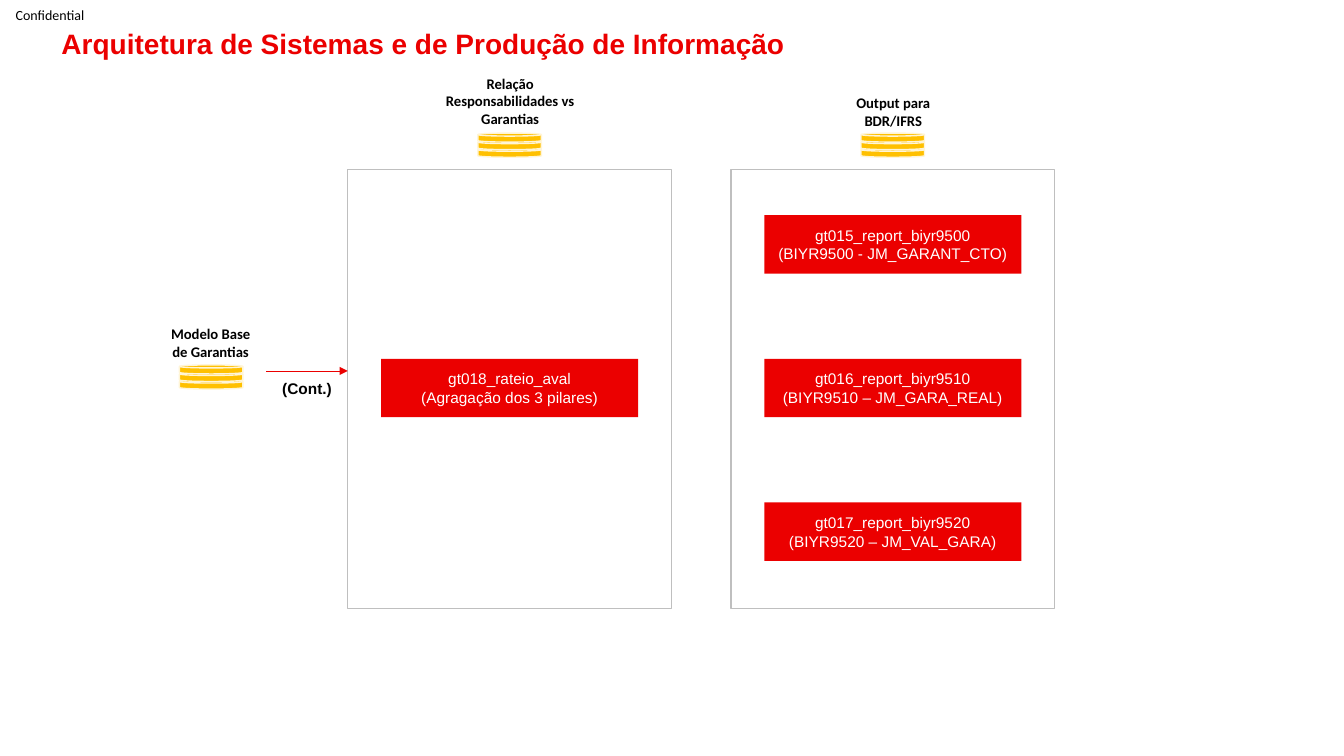
from pptx import Presentation
from pptx.dml.color import RGBColor
from pptx.enum.shapes import MSO_CONNECTOR, MSO_SHAPE
from pptx.enum.text import MSO_ANCHOR, MSO_AUTO_SIZE, PP_ALIGN
from pptx.oxml.ns import qn
from pptx.util import Inches, Pt
from lxml.etree import SubElement

# Content
TITLE = "Arquitetura de Sistemas e de Produção de Informação"
MARKING = "Confidential"
CONTINUED = "(Cont.)"
# Frame left edge, then the vertical slot (-1, 0, 1) and lines of each box
PANELS = [
    (3.45, [(0, ["gt018_rateio_aval", "(Agragação dos 3 pilares)"])]),
    (7.25, [
        (-1, ["gt015_report_biyr9500", "(BIYR9500 - JM_GARANT_CTO)"]),
        (0, ["gt016_report_biyr9510", "(BIYR9510 – JM_GARA_REAL)"]),
        (1, ["gt017_report_biyr9520", "(BIYR9520 – JM_VAL_GARA)"]),
    ]),
]
# Label, its left, top, width, height, then left and top of the disks
DATABASES = [
    ("Relação Responsabilidades vs Garantias", (4.42, 0.72, 1.28, 0.56), (4.74, 1.32)),
    ("Modelo Base de Garantias", (1.66, 3.29, 0.86, 0.22), (1.78, 3.62)),
    ("Output para BDR/IFRS", (8.43, 1.0, 0.86, 0.22), (8.54, 1.32)),
]
COLORS = {"red": "EB0000", "gold": "FFC000", "cream": "FFF5D6",
          "gray": "BFBFBF", "black": "000000", "white": "FFFFFF"}

# Layout
PANEL_TOP, PANEL_W, PANEL_H = 1.68, 3.21, 4.36
BOX_W, BOX_H, BOX_MID, BOX_STEP = 2.55, 0.58, 3.56, 1.425
DISK_W, DISK_H, DISK_STEP = 0.63, 0.09, 0.075
ARROW_Y, ARROW_LEFT = 3.68, 2.64


def rgb(name):
    return RGBColor.from_string(COLORS[name])


def write(shape, lines, size=11, font="Arial", color="black", bold=False,
          align=PP_ALIGN.CENTER, anchor=MSO_ANCHOR.MIDDLE, inset=None, spacing=None):
    tf = shape.text_frame
    tf.word_wrap = True
    tf.auto_size = MSO_AUTO_SIZE.NONE
    tf.vertical_anchor = anchor
    if inset is not None:
        tf.margin_left = tf.margin_right = tf.margin_top = tf.margin_bottom = Inches(inset)
    for i, line in enumerate(lines):
        p = tf.paragraphs[0] if i == 0 else tf.add_paragraph()
        p.alignment = align
        if spacing:
            p.line_spacing = spacing
        r = p.add_run()
        r.text = line
        r.font.size, r.font.name, r.font.bold = Pt(size), font, bold
        r.font.color.rgb = rgb(color)


def add_shape(s, kind, box, fill=None, line=None, width=1):
    sp = s.shapes.add_shape(kind, *map(Inches, box))
    sp.shadow.inherit = False
    if fill:
        sp.fill.solid()
        sp.fill.fore_color.rgb = rgb(fill)
    else:
        sp.fill.background()
    if line:
        sp.line.color.rgb = rgb(line)
        sp.line.width = Pt(width)
    else:
        sp.line.fill.background()
    return sp


def add_label(s, text, box, **fmt):
    write(s.shapes.add_textbox(*map(Inches, box)), [text], **fmt)


prs = Presentation()
prs.slide_width, prs.slide_height = Inches(13.33), Inches(7.5)
s = prs.slides.add_slide(prs.slide_layouts[5])

# Marking and title
add_label(s, MARKING, (0, 0, 0.99, 0.29), size=10, font="Calibri", inset=0)
title = s.shapes.title
title.left, title.top, title.width, title.height = map(Inches, (0.51, 0.25, 10.22, 0.33))
write(title, [TITLE], size=20, color="red", bold=True, align=PP_ALIGN.LEFT,
      anchor=MSO_ANCHOR.TOP, spacing=0.9)

# Panels with their process boxes
for left, boxes in PANELS:
    for slot, lines in boxes:
        box = (left + (PANEL_W - BOX_W) / 2, BOX_MID + slot * BOX_STEP, BOX_W, BOX_H)
        write(add_shape(s, MSO_SHAPE.RECTANGLE, box, fill="red"), lines, color="white")
    add_shape(s, MSO_SHAPE.RECTANGLE, (left, PANEL_TOP, PANEL_W, PANEL_H),
              line="gray", width=0.75)

# Databases: three stacked disks under a label, lowest disk at the back
for text, label_box, (left, top) in DATABASES:
    for level in (2, 1, 0):
        add_shape(s, MSO_SHAPE.FLOWCHART_MAGNETIC_DISK,
                  (left, top + level * DISK_STEP, DISK_W, DISK_H), fill="gold", line="cream")
    add_label(s, text, label_box, size=10.5, font="Calibri", bold=True, inset=0)

# Arrow into the first panel
arrow = s.shapes.add_connector(MSO_CONNECTOR.STRAIGHT, Inches(ARROW_LEFT), Inches(ARROW_Y),
                               Inches(PANELS[0][0]), Inches(ARROW_Y))
arrow.line.color.rgb = rgb("red")
arrow.line.width = Pt(0.5)
SubElement(arrow.line._get_or_add_ln(), qn("a:tailEnd"), type="triangle")
SubElement(arrow._element.spPr, qn("a:effectLst"))
add_label(s, CONTINUED, (2.69, 3.75, 0.71, 0.2), bold=True)

prs.save("out.pptx")
